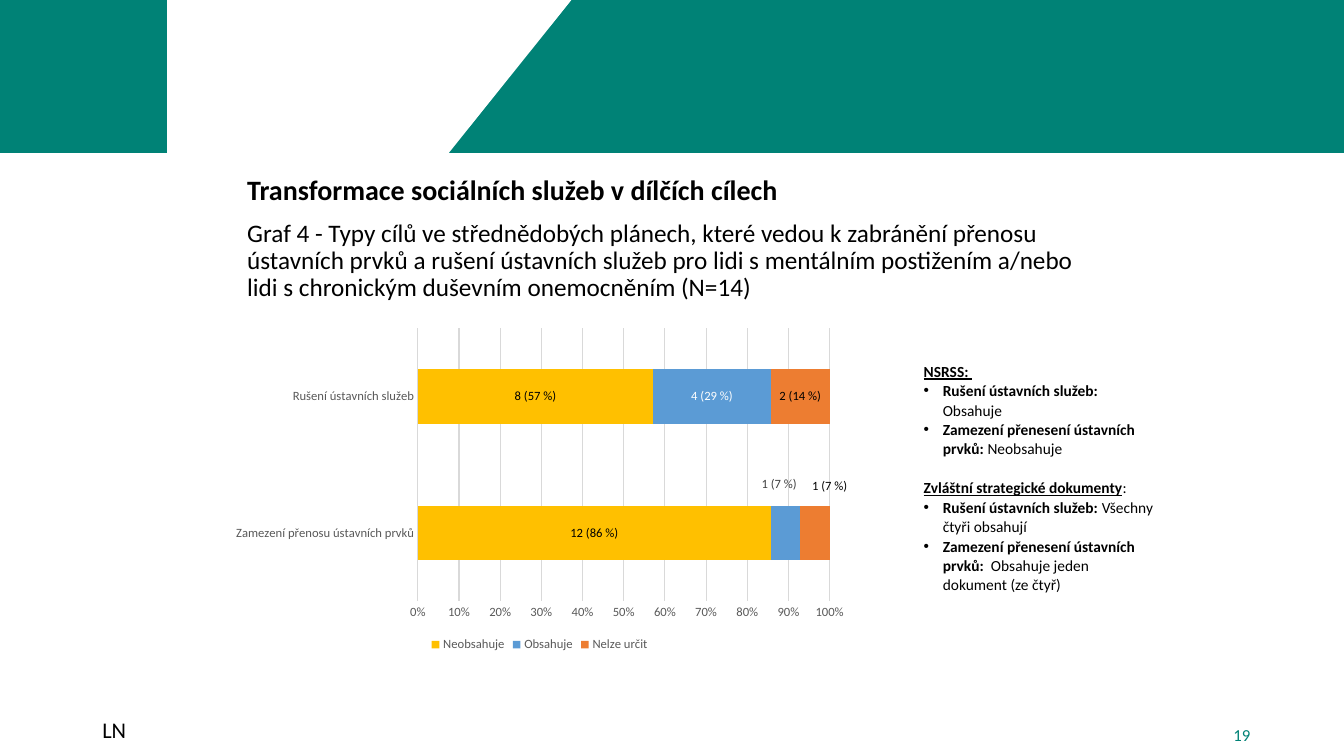
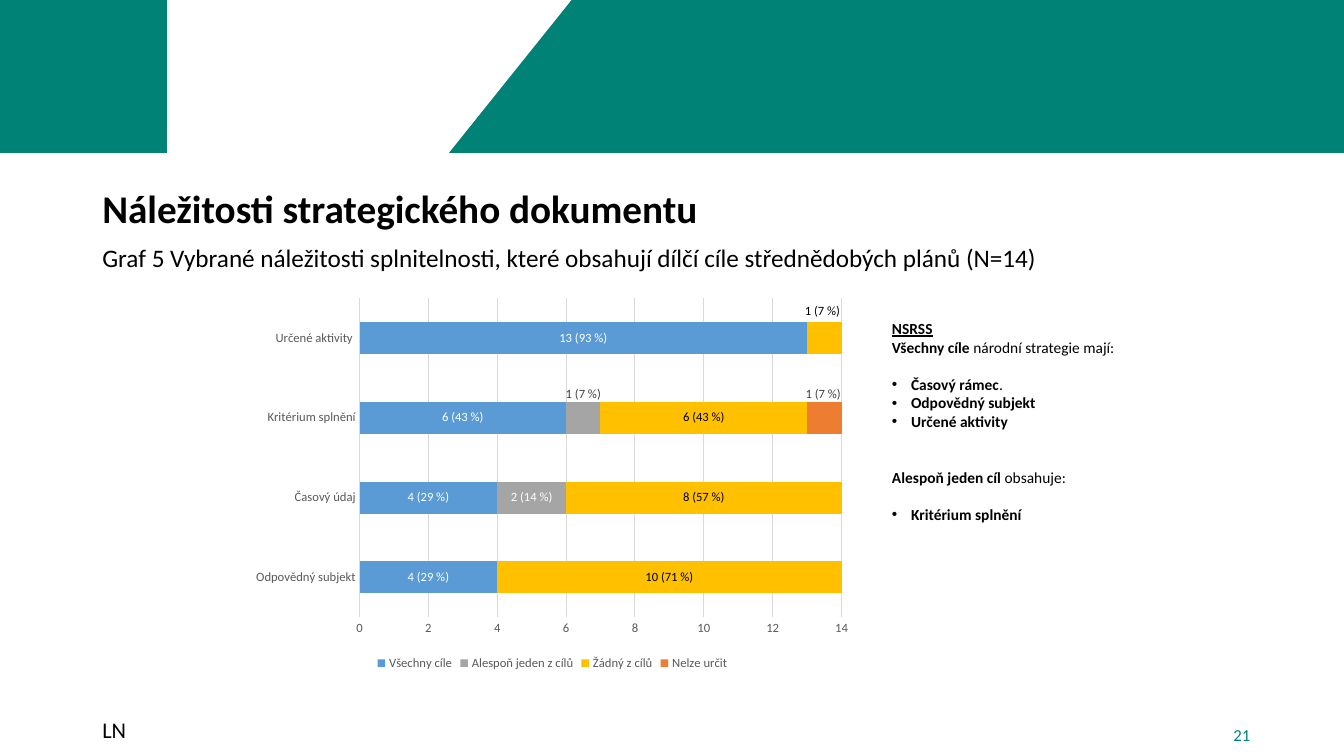
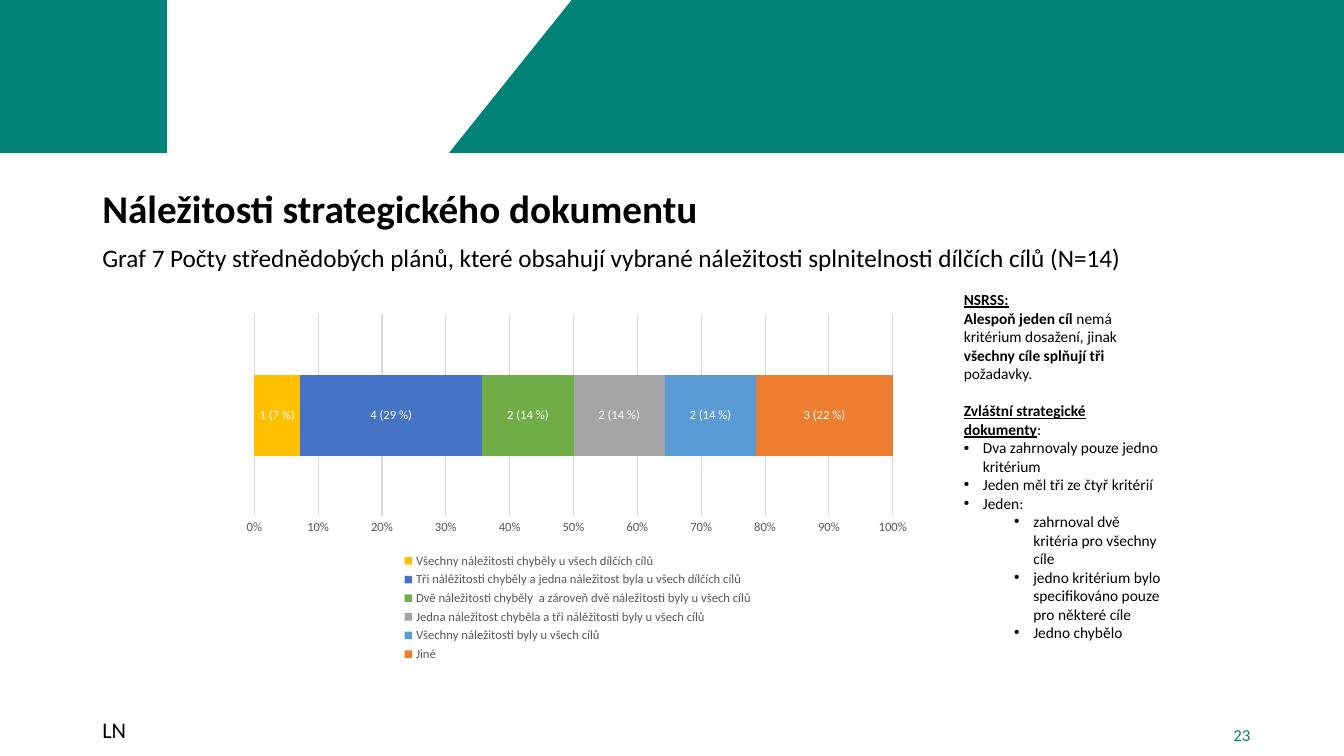
from dataclasses import dataclass, field

from lxml import etree
from pptx import Presentation
from pptx.chart.data import CategoryChartData
from pptx.dml.color import RGBColor
from pptx.enum import chart as ch, shapes, text
from pptx.oxml import ns
from pptx.util import Cm, Pt

FONT = "Calibri"
COLORS = {
    "teal": "008276", "white": "FFFFFF", "black": "000000",
    "axis": "595959", "label": "404040", "grid": "D9D9D9",
    "yellow": "FFC000", "blue": "5B9BD5", "orange": "ED7D31",
    "gray": "A5A5A5", "navy": "4472C4", "green": "70AD47",
}
SLIDE_W, SLIDE_H = 33.87, 19.05
BAND_H = 3.84
PLANS = 14
INDENT = 0.48


@dataclass
class Label:
    """Exception for one data label: its text, colour or shift in cm."""
    text: str = ""
    ink: str = ""
    shift: tuple = ()


@dataclass
class Series:
    name: str
    fill: str
    vals: list
    ink: str = "white"
    special: dict = field(default_factory=dict)


@dataclass
class Note:
    """One paragraph of runs (text, style), style holding b for bold and u for underline."""
    runs: list
    margin: float = 0
    before: float = 0


def rgb(name):
    return RGBColor.from_string(COLORS[name])


def set_font(font, size, color, bold=False, underline=False):
    font.name, font.size = FONT, Pt(size)
    font.bold, font.underline = bold, underline
    font.color.rgb = rgb(color)


def add_run(p, value, size, color="black", style=""):
    r = p.add_run()
    r.text = value
    set_font(r.font, size, color, "b" in style, "u" in style)


def add_box(s, box):
    tf = s.shapes.add_textbox(*map(Cm, box)).text_frame
    tf.word_wrap = True
    return tf


def paragraphs(tf, items):
    """Pair each item with a paragraph, the first one being already there."""
    for i, item in enumerate(items):
        yield (tf.add_paragraph() if i else tf.paragraphs[0]), item


def add_flat(s, kind, box, color):
    sp = s.shapes.add_shape(kind, *map(Cm, box))
    sp.shadow.inherit = False
    sp.fill.solid()
    sp.fill.fore_color.rgb = sp.line.color.rgb = rgb(color)
    sp.line.width = Pt(1)
    return sp


def add_band(s):
    kinds, cut_h = shapes.MSO_SHAPE, BAND_H + 0.05
    add_flat(s, kinds.RECTANGLE, (0, 0, SLIDE_W, BAND_H), "teal")
    add_flat(s, kinds.RECTANGLE, (4.22, 0, 7.04, cut_h), "white")
    slant = add_flat(s, kinds.RIGHT_TRIANGLE, (11.26, 0, 3.12, cut_h), "white")
    slant._element.spPr.find(ns.qn("a:xfrm")).set("flipV", "1")


def add_footer(s, number):
    top, height = 18.01, 1.02
    p = add_box(s, (2.33, top, 21.18, height)).paragraphs[0]
    p.line_spacing = 0.9
    add_run(p, "LN", 16)
    tf = add_box(s, (23.99, top, 7.77, height))
    tf.vertical_anchor = text.MSO_ANCHOR.MIDDLE
    tf.paragraphs[0].alignment = text.PP_ALIGN.RIGHT
    add_run(tf.paragraphs[0], str(number), 12, "teal")


def add_heading(s, box, title, size, caption):
    lines = [(title, size, "b"), (caption, 18, "")]
    for p, (value, pt, style) in paragraphs(add_box(s, box), lines):
        p.line_spacing, p.space_before = 0.9, Pt(10)
        add_run(p, value, pt, style=style)


def add_notes(s, box, notes, spacing=1.0):
    for p, note in paragraphs(add_box(s, box), notes):
        p.line_spacing, p.space_before = spacing, Pt(note.before)
        if note.margin:
            pPr = p._p.get_or_add_pPr()
            pPr.set("marL", str(Cm(note.margin)))
            pPr.set("indent", str(-Cm(INDENT)))
            etree.SubElement(pPr, ns.qn("a:buFont"), typeface="Arial")
            etree.SubElement(pPr, ns.qn("a:buChar"), char="•")
        for value, style in note.runs:
            add_run(p, value, 11, style=style)


def make_layout(box, place, inner=False, edge=True):
    """Build a manual c:layout for a place (x, y, w, h) in cm within the chart box."""
    layout = etree.Element(ns.qn("c:layout"))
    manual = etree.SubElement(layout, ns.qn("c:manualLayout"))
    if inner:
        etree.SubElement(manual, ns.qn("c:layoutTarget"), val="inner")
    if edge:
        for tag in ("xMode", "yMode"):
            etree.SubElement(manual, ns.qn(f"c:{tag}"), val="edge")
    for tag, length, whole in zip("xywh", place, box[2:] * 2):
        etree.SubElement(manual, ns.qn(f"c:{tag}"), val=f"{length / whole:.5f}")
    return layout


def replace_layout(parent, layout, after=None):
    """Put the layout behind the child called after, or first."""
    for old in parent.findall(ns.qn("c:layout")):
        parent.remove(old)
    if after is None:
        parent.insert(0, layout)
    else:
        parent.find(ns.qn(after)).addnext(layout)


def delete_label(dLbl):
    for child in dLbl[1:]:
        dLbl.remove(child)
    etree.SubElement(dLbl, ns.qn("c:delete"), val="1")


def add_labels(plot_series, series, box):
    labels = plot_series.data_labels
    labels.show_value = True
    labels.position = ch.XL_LABEL_POSITION.CENTER
    set_font(labels.font, 9, series.ink)
    for leader in labels._element.findall(ns.qn("c:showLeaderLines")):
        leader.set("val", "0")
    for i, value in enumerate(series.vals):
        special = series.special.get(i, Label())
        label = plot_series.points[i].data_label
        tf = label.text_frame
        if not value:
            delete_label(label._dLbl)
            continue
        tf.word_wrap = False
        add_run(tf.paragraphs[0],
                special.text or f"{value} ({value / PLANS:.0%})".replace("%", " %"),
                9, special.ink or series.ink)
        label.position = ch.XL_LABEL_POSITION.CENTER
        if special.shift:
            replace_layout(label._dLbl, make_layout(box, special.shift, edge=False), "c:idx")


def style_axes(chart, percent, show_cats):
    cat, val = chart.category_axis, chart.value_axis
    for axis in (cat, val):
        axis.major_tick_mark = axis.minor_tick_mark = ch.XL_TICK_MARK.NONE
        set_font(axis.tick_labels.font, 9, "axis")
    cat.visible = show_cats
    val.has_major_gridlines = True
    for line in (cat.format.line, val.major_gridlines.format.line):
        line.color.rgb, line.width = rgb("grid"), Pt(0.75)
    val.format.line.fill.background()
    if not percent:
        val.maximum_scale = PLANS
    val.tick_labels.number_format = "0%" if percent else "General"
    val.tick_labels.number_format_is_linked = False


def add_bars(s, box, cats, series, plot_area, percent=True, show_cats=True, legend=None):
    """plot_area and legend are x, y, w, h in cm from the corner of the chart."""
    data = CategoryChartData()
    data.categories = cats
    for item in series:
        data.add_series(item.name, item.vals)
    kind = ch.XL_CHART_TYPE.BAR_STACKED_100 if percent else ch.XL_CHART_TYPE.BAR_STACKED
    chart = s.shapes.add_chart(kind, *map(Cm, box), data).chart
    set_font(chart.font, 10, "black")
    chart.has_title = False
    chart.has_legend = True
    chart.legend.position = ch.XL_LEGEND_POSITION.BOTTOM
    chart.legend.include_in_layout = False
    set_font(chart.legend.font, 9, "axis")
    style_axes(chart, percent, show_cats)
    plot = chart.plots[0]
    plot.gap_width, plot.overlap, plot.vary_by_categories = 150, 100, False
    for plot_series, item in zip(plot.series, series):
        plot_series.format.fill.solid()
        plot_series.format.fill.fore_color.rgb = rgb(item.fill)
        add_labels(plot_series, item, box)
    replace_layout(chart._chartSpace.chart.plotArea, make_layout(box, plot_area, inner=True))
    if legend:
        replace_layout(chart.legend._element, make_layout(box, legend), "c:legendPos")


def new_slide(prs, number):
    s = prs.slides.add_slide(prs.slide_layouts[6])
    add_band(s)
    add_footer(s, number)
    return s


def bullet(*runs, before=0, deep=False):
    return Note(list(runs), INDENT + 1.27 * deep, before)


def goals_slide(prs):
    s = new_slide(prs, 19)
    add_heading(s, (5.98, 4.32, 22.07, 12.67),
                "Transformace sociálních služeb v dílčích cílech", 20,
                "Graf 4 - Typy cílů ve střednědobých plánech, které vedou k zabránění "
                "přenosu ústavních prvků a rušení ústavních služeb pro lidi s mentálním "
                "postižením a/nebo lidi s chronickým duševním onemocněním (N=14)")
    closing, transfer = "Rušení ústavních služeb: ", "Zamezení přenesení ústavních prvků: "
    add_notes(s, (23.03, 8.97, 6.32, 6.17), [
        Note([("NSRSS: ", "bu")]),
        bullet((closing, "b"), ("Obsahuje", "")),
        bullet((transfer, "b"), ("Neobsahuje", "")),
        Note([("Zvláštní strategické dokumenty", "bu"), (":", "")], before=14),
        bullet((closing, "b"), ("Všechny čtyři obsahují", "")),
        bullet((transfer + " ", "b"), ("Obsahuje jeden dokument (ze čtyř)", "")),
    ], spacing=1.05)
    add_bars(s, (5.66, 8.1, 15.95, 8.43),
             ["Zamezení přenosu ústavních prvků", "Rušení ústavních služeb"], [
        Series("Neobsahuje", "yellow", [12, 8], "black"),
        Series("Obsahuje", "blue", [1, 4],
               special={0: Label(ink="label", shift=(-0.16, -1.22))}),
        Series("Nelze určit ", "orange", [1, 2], "black",
               {0: Label(shift=(0.37, -1.18))}),
    ], (4.87, 0.17, 10.38, 6.88))


def requirements_slide(prs, number, caption):
    s = new_slide(prs, number)
    add_heading(s, (2.33, 4.66, 29.44, 12.34),
                "Náležitosti strategického dokumentu", 28, caption)
    return s


def feasibility_slide(prs):
    s = requirements_slide(prs, 21, "Graf 5 Vybrané náležitosti splnitelnosti, které "
                           "obsahují dílčí cíle střednědobých plánů (N=14)")
    add_notes(s, (22.23, 7.92, 6.5, 5.82), [
        Note([("NSRSS", "bu")]),
        Note([("Všechny cíle ", "b"), ("národní strategie mají:", "")]),
        bullet(("Časový rámec", "b"), (".", ""), before=13.4),
        bullet(("Odpovědný subjekt", "b")),
        bullet(("Určené aktivity", "b")),
        Note([("Alespoň jeden cíl ", "b"), ("obsahuje:", "")], before=26.6),
        bullet(("Kritérium splnění", "b"), before=13.2),
    ])
    add_bars(s, (6.15, 7.32, 15.54, 9.68),
             ["Odpovědný subjekt", "Časový údaj", "Kritérium splnění", "Určené aktivity "], [
        Series("Všechny cíle", "blue", [4, 4, 6, 13]),
        Series("Alespoň jeden z cílů", "gray", [0, 2, 1, 0],
               special={2: Label(ink="label", shift=(0, -0.58))}),
        Series("Žádný z cílů", "yellow", [10, 8, 6, 1], "black",
               {3: Label(shift=(-0.05, -0.66))}),
        Series("Nelze určit", "orange", [0, 0, 1, 0], "label",
               {2: Label(shift=(-0.03, -0.6))}),
    ], (2.91, 0.19, 12.15, 8.05), percent=False)


def counts_slide(prs):
    s = requirements_slide(prs, 23, "Graf 7 Počty střednědobých plánů, které obsahují "
                           "vybrané náležitosti splnitelnosti dílčích cílů (N=14)")
    add_notes(s, (24.04, 7.19, 5.59, 8.71), [
        Note([("NSRSS:", "bu")]),
        Note([("Alespoň jeden cíl ", "b"), ("nemá kritérium dosažení, jinak ", ""),
              ("všechny cíle splňují tři ", "b"), ("požadavky.", "")]),
        Note([("Zvláštní strategické dokumenty", "bu"), (":", "")], before=13.4),
        bullet(("Dva zahrnovaly pouze jedno kritérium", "")),
        bullet(("Jeden měl tři ze čtyř kritérií", "")),
        bullet(("Jeden:", "")),
        bullet(("zahrnoval dvě kritéria pro všechny cíle", ""), deep=True),
        bullet(("jedno kritérium bylo specifikováno pouze pro některé cíle", ""), deep=True),
        bullet(("Jedno chybělo", ""), deep=True),
    ])
    add_bars(s, (5.87, 7.75, 17.32, 9.04), ["1"], [
        Series("Všechny náležitosti chyběly u všech dílčích cílů", "yellow", [1]),
        Series("Tři nálěžitosti chyběly a jedna náležitost byla u všech dílčích cílů ",
               "navy", [4]),
        Series("Dvě náležitosti chyběly  a zároveň dvě náležitosti byly u všech cílů",
               "green", [2]),
        Series("Jedna náležitost chyběla a tři nálěžitosti byly u všech cílů", "gray", [2]),
        Series("Všechny náležitosti byly u všech cílů ", "blue", [2]),
        Series("Jiné", "orange", [3], special={0: Label("3 (22 %)")}),
    ], (0.54, 0.17, 16.09, 5.09), show_cats=False, legend=(4.18, 6.1, 9.01, 2.92))


def main():
    prs = Presentation()
    prs.slide_width, prs.slide_height = Cm(SLIDE_W), Cm(SLIDE_H)
    goals_slide(prs)
    feasibility_slide(prs)
    counts_slide(prs)
    prs.save("out.pptx")


if __name__ == "__main__":
    main()
